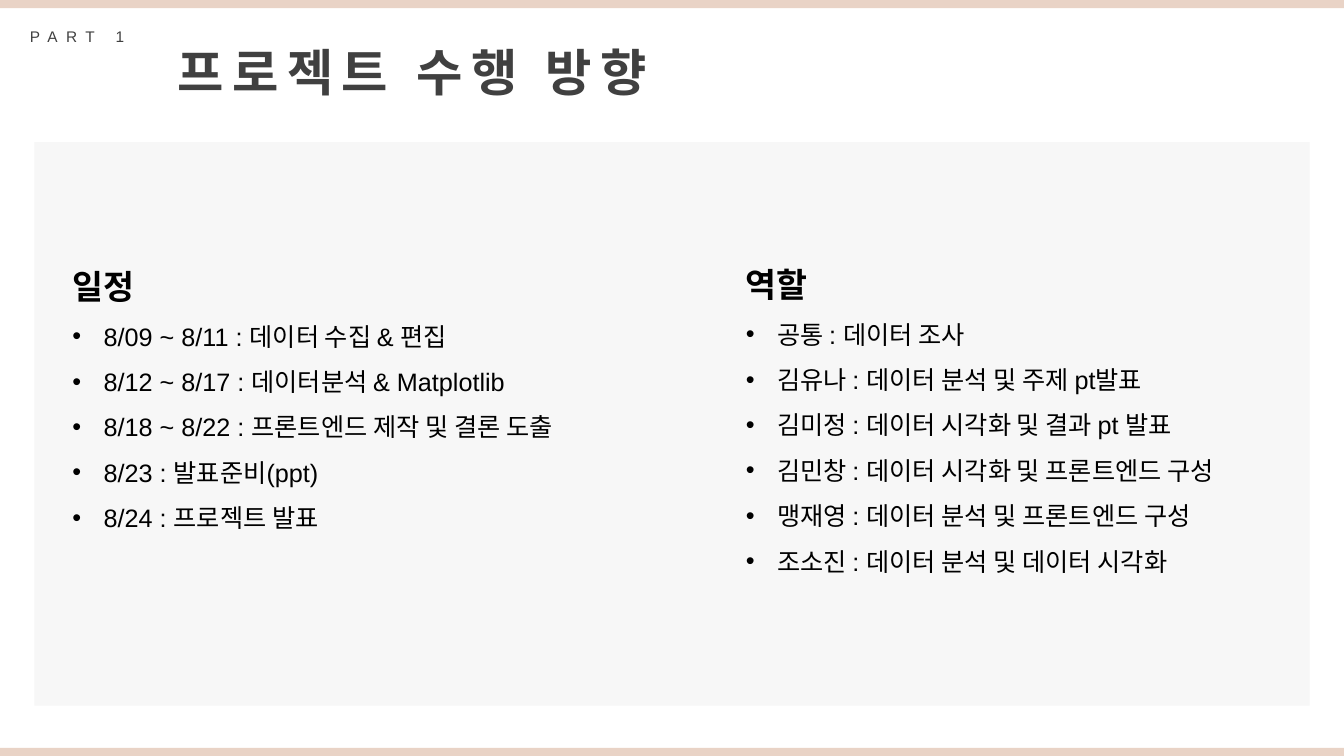
from dataclasses import dataclass

from lxml.etree import SubElement
from pptx import Presentation
from pptx.dml.color import RGBColor
from pptx.enum.shapes import MSO_SHAPE as Shape
from pptx.enum.text import MSO_ANCHOR as Anchor, MSO_AUTO_SIZE as AutoSize, PP_ALIGN as Align
from pptx.oxml.ns import qn
from pptx.util import Inches, Pt

PART = "PART 1"
TITLE = "프로젝트 수행 방향"
SCHEDULE = ("일정", [
    "8/09 ~ 8/11 : 데이터 수집 & 편집",
    "8/12 ~ 8/17 : 데이터분석 & Matplotlib",
    "8/18 ~ 8/22 : 프론트엔드 제작 및 결론 도출",
    "8/23 : 발표준비(ppt)",
    "8/24 : 프로젝트 발표",
])
ROLES = ("역할", [
    "공통 : 데이터 조사",
    "김유나 : 데이터 분석 및 주제 pt발표",
    "김미정 : 데이터 시각화 및 결과 pt 발표",
    "김민창 : 데이터 시각화 및 프론트엔드 구성",
    "맹재영 : 데이터 분석 및 프론트엔드 구성",
    "조소진 : 데이터 분석 및 데이터 시각화",
])


@dataclass(frozen=True)
class Theme:
    font: str = "Arial"
    panel: str = "F7F7F7"
    band: str = "E9D3C6"
    title: str = "404040"
    body: str = "000000"
    title_size: int = 36
    heading_size: int = 24
    body_size: int = 18
    part_size: int = 11
    tracking: int = 6
    line_spacing: float = 1.5
    indent: float = 0.31


THEME = Theme()
WIDTH, HEIGHT, BAND = 13.33, 7.5, 0.08


def add_block(slide, box, color):
    shape = slide.shapes.add_shape(Shape.RECTANGLE, *map(Inches, box))
    shape.shadow.inherit = False
    shape.fill.solid()
    shape.fill.fore_color.rgb = RGBColor.from_string(color)
    shape.line.fill.background()


def add_text_frame(slide, box, wrap=True, anchor=Anchor.TOP, auto_size=AutoSize.NONE):
    frame = slide.shapes.add_textbox(*map(Inches, box)).text_frame
    frame.word_wrap = wrap
    frame.vertical_anchor = anchor
    frame.auto_size = auto_size
    return frame


def write(paragraph, text, size, color=THEME.body, bold=False, align=Align.LEFT,
          tracking=0, line_spacing=None, bullet=None):
    paragraph.alignment = align
    if line_spacing:
        paragraph.line_spacing = line_spacing
    if bullet:
        properties = paragraph._p.get_or_add_pPr()
        properties.set("marL", str(Inches(THEME.indent)))
        properties.set("indent", str(-Inches(THEME.indent)))
        SubElement(properties, qn("a:buFont"), typeface=THEME.font)
        SubElement(properties, qn("a:buChar"), char=bullet)
    run = paragraph.add_run()
    run.text = text
    run.font.name = THEME.font
    run.font.size = Pt(size)
    run.font.bold = bold
    run.font.color.rgb = RGBColor.from_string(color)
    if tracking:
        run.font._element.set("spc", str(tracking * 100))


def add_label(slide, box, text, size, bold=False, wrap=True):
    frame = add_text_frame(slide, box, wrap=wrap, auto_size=AutoSize.SHAPE_TO_FIT_TEXT)
    write(frame.paragraphs[0], text, size, color=THEME.title, bold=bold,
          align=Align.CENTER, tracking=THEME.tracking)


def add_list(slide, box, content, bottom=0.05):
    """Add a bold heading with bulleted items, centred above the bottom margin."""
    heading, items = content
    frame = add_text_frame(slide, box, anchor=Anchor.MIDDLE)
    frame.margin_bottom = Inches(bottom)
    write(frame.paragraphs[0], heading, THEME.heading_size, bold=True,
          line_spacing=THEME.line_spacing)
    for item in items:
        write(frame.add_paragraph(), item, THEME.body_size,
              line_spacing=THEME.line_spacing, bullet="•")


def main():
    presentation = Presentation()
    presentation.slide_width = Inches(WIDTH)
    presentation.slide_height = Inches(HEIGHT)
    slide = presentation.slides.add_slide(presentation.slide_layouts[6])

    add_block(slide, (0.34, 1.41, 12.65, 5.59), THEME.panel)
    for top in (0, HEIGHT - BAND):
        add_block(slide, (0, top, WIDTH, BAND), THEME.band)

    add_label(slide, (1.39, 0.36, 5.4, 0.71), TITLE, THEME.title_size, bold=True)
    add_label(slide, (0.14, 0.22, 1.25, 0.29), PART, THEME.part_size, wrap=False)
    add_list(slide, (0.62, 2.45, 5.75, 2.82), SCHEDULE)
    add_list(slide, (7.3, 1.74, 5.42, 5.25), ROLES, bottom=0.65)

    presentation.save("out.pptx")


if __name__ == "__main__":
    main()
